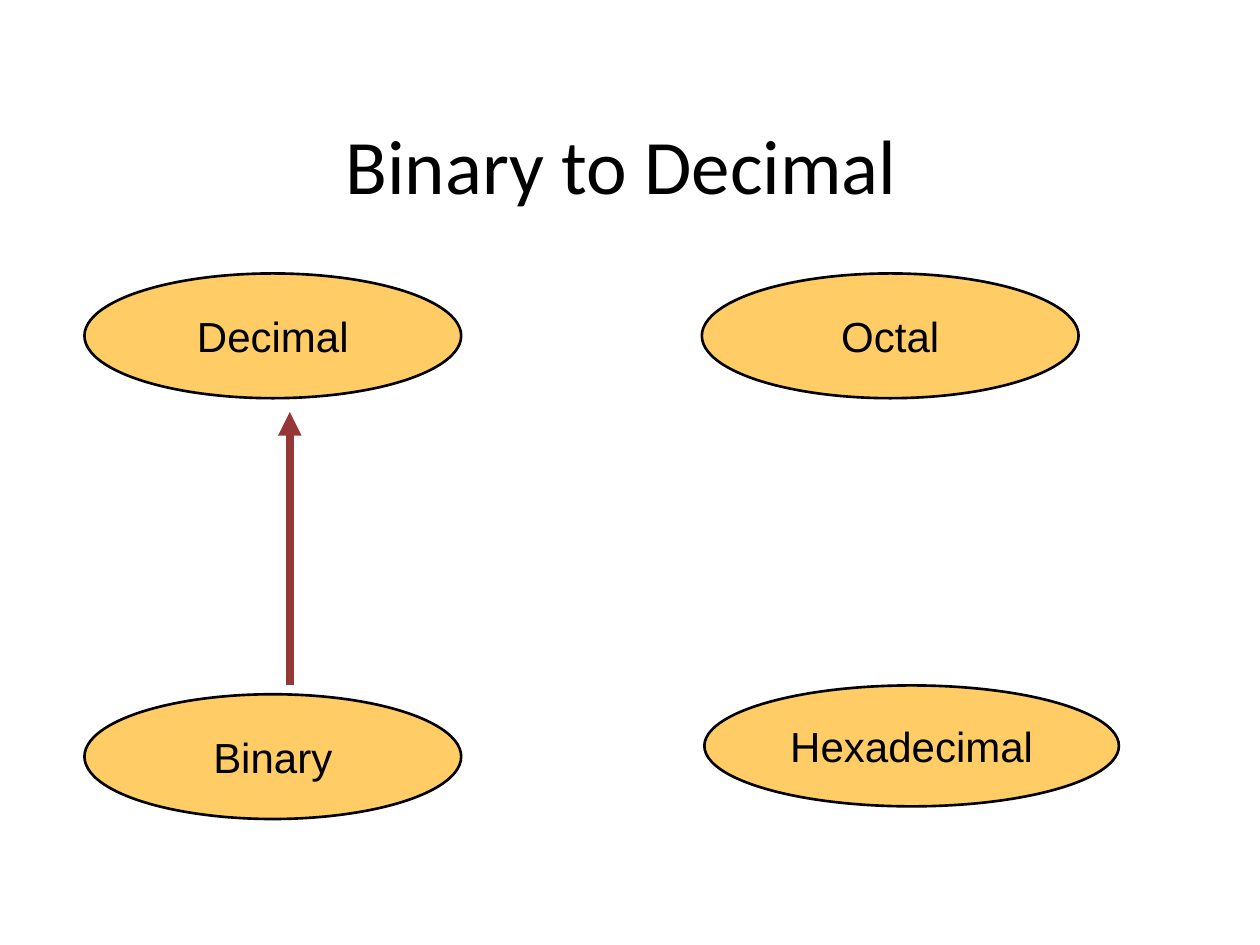
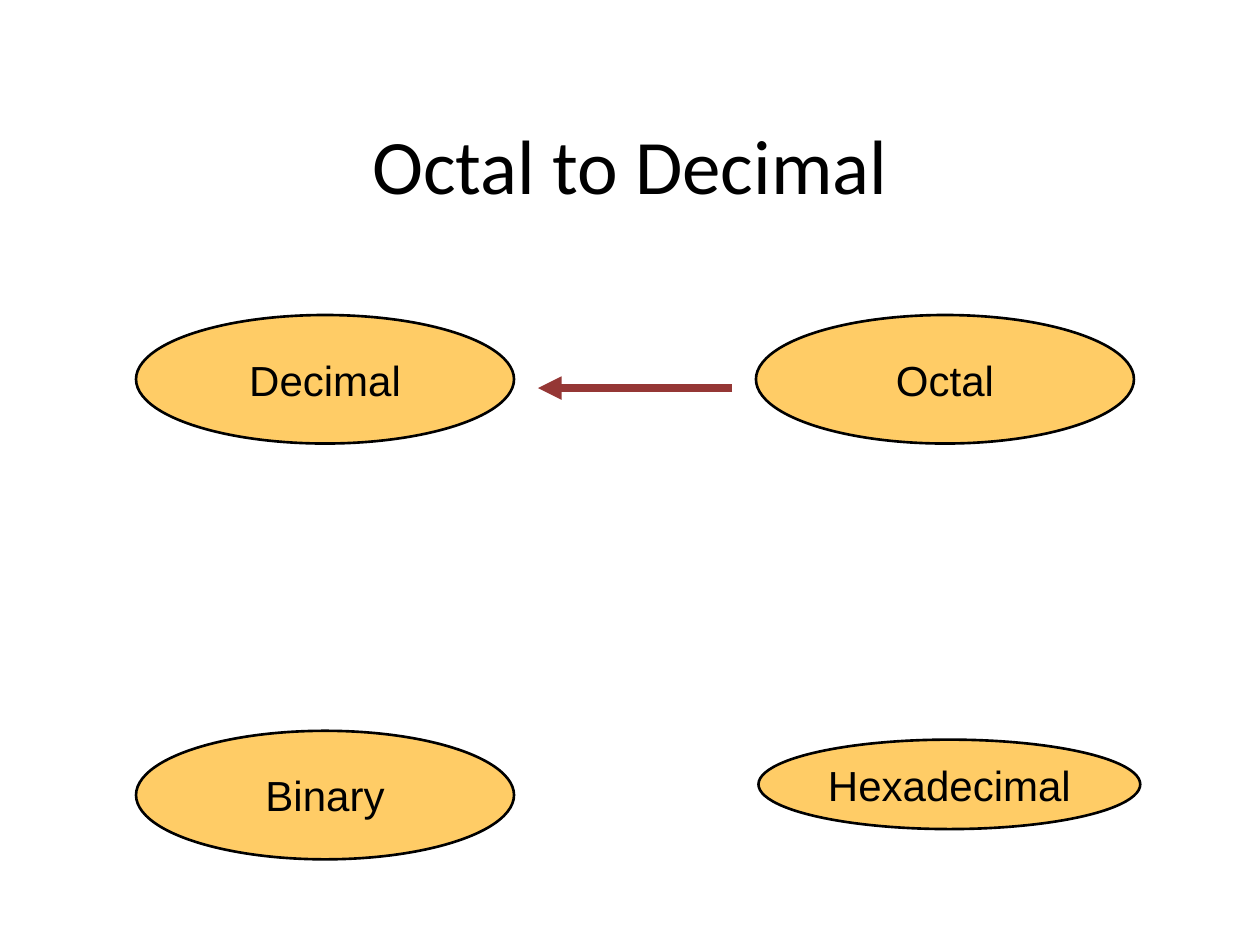
from dataclasses import dataclass

import pptx
import pptx.dml.color
import pptx.enum.shapes
import pptx.enum.text
import pptx.oxml.ns
import pptx.presentation
import pptx.shapes.base
import pptx.slide
import pptx.util
from lxml import etree
from pptx.util import Inches

COLORS = {"ink": "000000", "oval": "FFCC66", "arrow": "953735"}


@dataclass(frozen=True)
class Oval:
    label: str
    left: float
    top: float
    width: float
    height: float


@dataclass(frozen=True)
class Arrow:
    start: tuple[float, float]
    end: tuple[float, float]


@dataclass(frozen=True)
class Conversion:
    title: str
    ovals: list[Oval]
    arrow: Arrow


def number_systems(left: float, right: float, top: float, bottom: float,
                   width: float, height: float, hexadecimal: Oval) -> list[Oval]:
    """Three equal ovals on a grid, and the hexadecimal oval with its own size."""
    return [
        hexadecimal,
        Oval("Decimal", left, top, width, height),
        Oval("Octal", right, top, width, height),
        Oval("Binary", left, bottom, width, height),
    ]


CONVERSIONS = [
    Conversion(
        "Binary to Decimal ",
        number_systems(0.67, 5.57, 2.17, 5.51, 2.99, 0.99,
                       Oval("Hexadecimal", 5.59, 5.44, 3.29, 0.96)),
        Arrow((2.3, 5.44), (2.3, 3.27)),
    ),
    Conversion(
        "Octal to Decimal",
        number_systems(1.08, 6, 2.5, 5.8, 3, 1.02,
                       Oval("Hexadecimal", 6.02, 5.87, 3.03, 0.71)),
        Arrow((5.81, 3.08), (4.27, 3.08)),
    ),
]


def color(name: str) -> pptx.dml.color.RGBColor:
    return pptx.dml.color.RGBColor.from_string(COLORS[name])


def write_centred(shape: pptx.shapes.base.BaseShape, text: str,
                  font: str, size: float, wrap: bool) -> None:
    frame = shape.text_frame
    frame.word_wrap = wrap
    frame.vertical_anchor = pptx.enum.text.MSO_ANCHOR.MIDDLE
    para = frame.paragraphs[0]
    para.text = text
    para.alignment = pptx.enum.text.PP_ALIGN.CENTER
    para.font.name = font
    para.font.size = pptx.util.Pt(size)
    para.font.color.rgb = color("ink")


def add_title(page: pptx.slide.Slide, text: str) -> None:
    box = page.shapes.add_textbox(Inches(0.5), Inches(0.67), Inches(9), Inches(1.25))
    write_centred(box, text, "Calibri", 44, wrap=True)


def add_oval(page: pptx.slide.Slide, oval: Oval) -> None:
    shape = page.shapes.add_shape(
        pptx.enum.shapes.MSO_SHAPE.OVAL,
        Inches(oval.left), Inches(oval.top), Inches(oval.width), Inches(oval.height))
    shape.shadow.inherit = False
    shape.fill.solid()
    shape.fill.fore_color.rgb = color("oval")
    shape.line.color.rgb = color("ink")
    shape.line.width = pptx.util.Pt(1.5)
    write_centred(shape, oval.label, "Arial", 24, wrap=False)


def add_arrow(page: pptx.slide.Slide, arrow: Arrow) -> None:
    connector = page.shapes.add_connector(
        pptx.enum.shapes.MSO_CONNECTOR.STRAIGHT,
        *(Inches(value) for value in arrow.start + arrow.end))
    connector.line.color.rgb = color("arrow")
    connector.line.width = pptx.util.Pt(4.5)
    # Arrowhead at the end point, and no shadow
    qn = pptx.oxml.ns.qn
    properties = connector.element.spPr
    etree.SubElement(properties.find(qn("a:ln")), qn("a:tailEnd"), type="triangle")
    etree.SubElement(properties, qn("a:effectLst"))


def add_conversion(deck: pptx.presentation.Presentation, conversion: Conversion) -> None:
    page = deck.slides.add_slide(deck.slide_layouts[6])
    add_title(page, conversion.title)
    for oval in conversion.ovals:
        add_oval(page, oval)
    add_arrow(page, conversion.arrow)


def main() -> None:
    deck = pptx.Presentation()
    deck.slide_width = Inches(10)
    deck.slide_height = Inches(7.5)
    for conversion in CONVERSIONS:
        add_conversion(deck, conversion)
    deck.save("out.pptx")


if __name__ == "__main__":
    main()
